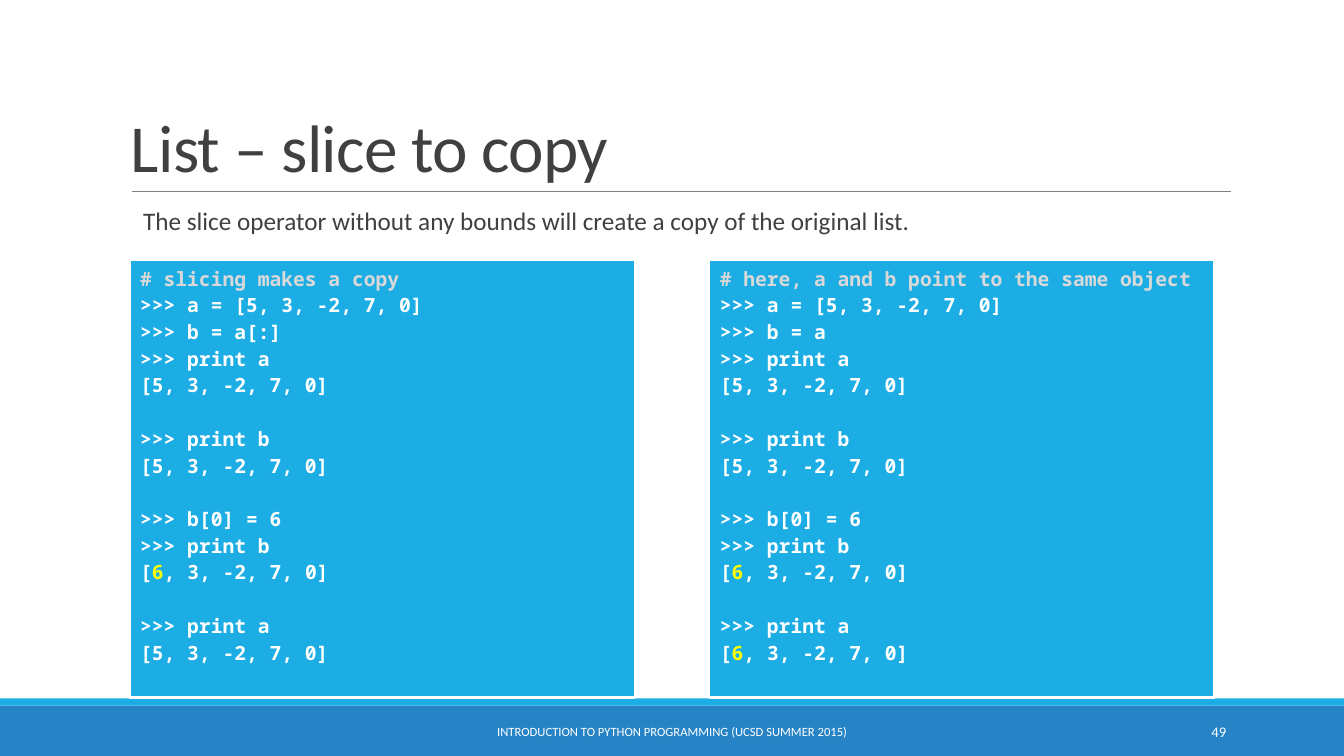
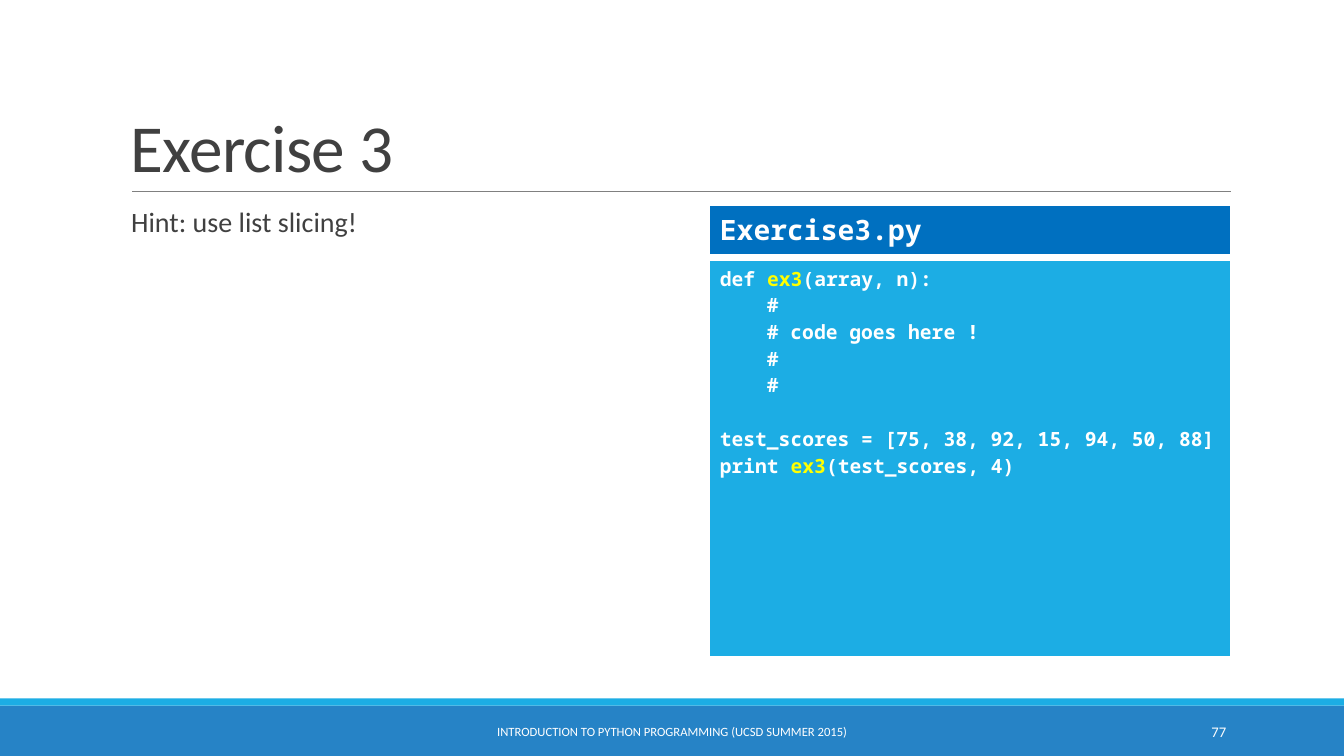
"""Build two Python course slides on list slicing."""
from lxml import etree
from pptx import Presentation
from pptx.dml.color import RGBColor
from pptx.enum import shapes, text
from pptx.oxml.ns import qn
from pptx.util import Inches, Pt

WHITE = RGBColor(0xFF, 0xFF, 0xFF)
DARK_GRAY = RGBColor(0x40, 0x40, 0x40)
RULE_GRAY = RGBColor(0x80, 0x80, 0x80)
COMMENT_GRAY = RGBColor(0xD9, 0xD9, 0xD9)
YELLOW = RGBColor(0xFF, 0xFF, 0x00)
CYAN = RGBColor(0x1C, 0xAD, 0xE4)
BAND_BLUE = RGBColor(0x26, 0x83, 0xC6)
HEADER_BLUE = RGBColor(0x00, 0x70, 0xC0)

BODY_FONT, CODE_FONT = "Calibri", "Noto Sans Mono"
CODE_SIZE, CODE_LINE, CODE_CHAR = 14, 19.07, 8.4
LEFT_COLUMN, RIGHT_COLUMN, CODE_TOP = 1.29, 7.04, 2.58
FOOTER = "INTRODUCTION TO PYTHON PROGRAMMING (UCSD SUMMER 2015)"

# Code is a list of blocks parted by an empty line; text between bars is highlighted.
ORIGINAL, CHANGED = "[5, 3, -2, 7, 0]", "[|6|, 3, -2, 7, 0]"


def session(comment, assignment, final):
    """Return the blocks of one interpreter session."""
    return [
        [comment, ">>> a = " + ORIGINAL, ">>> b = " + assignment, ">>> print a", ORIGINAL],
        [">>> print b", ORIGINAL],
        [">>> b[0] = 6", ">>> print b", CHANGED],
        [">>> print a", final],
    ]


EXERCISE = [
    ["def |ex3|(array, n):", "    #", "    # code goes here !", "    #", "    #"],
    ["test_scores = [75, 38, 92, 15, 94, 50, 88]", "print |ex3|(test_scores, 4)"],
]

SLIDES = [
    {
        "title": "List – slice to copy",
        "number": "49",
        "body": "The slice operator without any bounds will create a copy of the original list.",
        "body_format": {"box": (1.2, 2.02, 11, 4.4), "size": 18, "indent": 0.22},
        "tables": [
            {"box": (LEFT_COLUMN, CODE_TOP, 5, 4.34),
             "blocks": session("# slicing makes a copy", "a[:]", ORIGINAL)},
            {"box": (RIGHT_COLUMN, CODE_TOP, 5, 4.34),
             "blocks": session("# here, a and b point to the same object", "a", CHANGED)},
        ],
    },
    {
        "title": "Exercise 3",
        "number": "77",
        "body": "Hint: use list slicing!",
        "body_format": {"box": (1.2, 2.02, 5.09, 4.4), "size": 20, "indent": 0.1},
        "tables": [
            {"box": (RIGHT_COLUMN, CODE_TOP, 5.17, 3.95), "blocks": EXERCISE},
            {"box": (RIGHT_COLUMN, 2.04, 5.17, 0.5), "blocks": [["Exercise3.py"]],
             "fill": HEADER_BLUE, "size": 20},
        ],
    },
]


def inches(values):
    return [Inches(value) for value in values]


def add_run(paragraph, words, **font_format):
    color = font_format.pop("color")
    run = paragraph.add_run()
    run.text = words
    for name, value in font_format.items():
        setattr(run.font, name, value)
    run.font.color.rgb = color
    return run


def set_indent(paragraph, length):
    properties = paragraph._p.get_or_add_pPr()
    properties.set("marL", str(int(length)))
    properties.set("indent", "0")


def add_text(slide, box, words, size, color, frame_format=None, paragraph_format=None):
    frame = slide.shapes.add_textbox(*inches(box)).text_frame
    frame.word_wrap = True
    paragraph = frame.paragraphs[0]
    for target, values in ((frame, frame_format), (paragraph, paragraph_format)):
        for name, value in (values or {}).items():
            setattr(target, name, value)
    run = add_run(paragraph, words, name=BODY_FONT, size=Pt(size), color=color)
    return paragraph, run


def add_band(slide, top, height, color):
    band = slide.shapes.add_shape(
        shapes.MSO_SHAPE.RECTANGLE, *inches((0, top, 13.33, height)))
    band.shadow.inherit = False
    band.fill.solid()
    band.fill.fore_color.rgb = color
    band.line.fill.background()


def add_frame(slide, title, number):
    add_band(slide, 7, 0.5, BAND_BLUE)
    add_band(slide, 6.93, 0.07, CYAN)
    rule = slide.shapes.add_connector(
        shapes.MSO_CONNECTOR.STRAIGHT, *inches((1.31, 1.9, 12.21, 1.9)))
    rule.line.color.rgb = RULE_GRAY
    rule.line.width = Pt(0.5)
    etree.SubElement(rule._element.spPr, qn("a:effectLst"))
    title_run = add_text(slide, (1.2, 0.31, 11, 1.59), title, 48, DARK_GRAY,
                         {"vertical_anchor": text.MSO_ANCHOR.BOTTOM},
                         {"line_spacing": 0.85})[1]
    title_run._r.get_or_add_rPr().set("spc", "-50")
    for box, words, size, alignment in (
        ((4.03, 7.06, 5.27, 0.4), FOOTER, 9, text.PP_ALIGN.CENTER),
        ((10.83, 7.06, 1.43, 0.4), number, 10.5, text.PP_ALIGN.RIGHT),
    ):
        add_text(slide, box, words, size, WHITE,
                 {"vertical_anchor": text.MSO_ANCHOR.MIDDLE}, {"alignment": alignment})


def add_body(slide, words, box, size, indent):
    paragraph = add_text(slide, box, words, size, DARK_GRAY,
                         {"margin_left": 0, "margin_right": 0},
                         {"line_spacing": 0.9})[0]
    set_indent(paragraph, Inches(indent))


def add_borders(cell):
    properties = cell._tc.get_or_add_tcPr()
    for side, width in (("L", 1), ("R", 1), ("T", 1), ("B", 3)):
        line = etree.SubElement(properties, qn("a:ln" + side), w=str(Pt(width)))
        fill = etree.SubElement(line, qn("a:solidFill"))
        etree.SubElement(fill, qn("a:srgbClr"), val=str(WHITE))


def add_code_table(slide, box, blocks, fill=CYAN, size=CODE_SIZE):
    table = slide.shapes.add_table(1, 1, *inches(box)).table
    cell = table.cell(0, 0)
    add_borders(cell)
    cell.fill.solid()
    cell.fill.fore_color.rgb = fill
    frame = cell.text_frame
    lines = [(block, row, line) for block, rows in enumerate(blocks)
             for row, line in enumerate(rows)]
    for index, (block, row, line) in enumerate(lines):
        paragraph = frame.add_paragraph() if index else frame.paragraphs[0]
        if block and row == 0:
            paragraph.space_before = Pt(CODE_LINE)
        code = line.lstrip()
        set_indent(paragraph, Pt(CODE_CHAR * (len(line) - len(code))))
        base_color = COMMENT_GRAY if line.startswith("#") else WHITE
        for part, words in enumerate(code.split("|")):
            add_run(paragraph, words, name=CODE_FONT, size=Pt(size), bold=True,
                    color=YELLOW if part % 2 else base_color)


def main():
    presentation = Presentation()
    presentation.slide_width, presentation.slide_height = inches((13.33, 7.5))
    for content in SLIDES:
        slide = presentation.slides.add_slide(presentation.slide_layouts[6])
        add_frame(slide, content["title"], content["number"])
        add_body(slide, content["body"], **content["body_format"])
        for table in content["tables"]:
            add_code_table(slide, **table)
    presentation.save("out.pptx")


if __name__ == "__main__":
    main()
